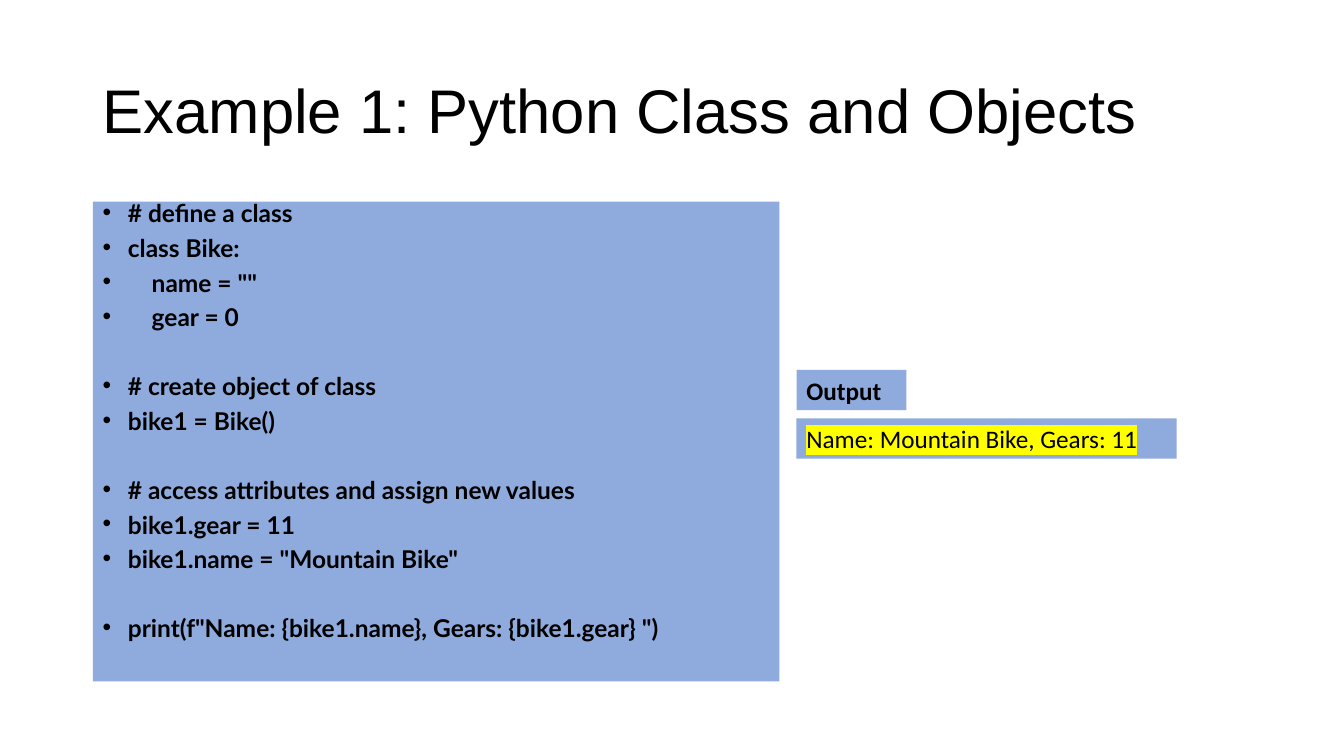
from pptx import Presentation
from pptx.dml.color import RGBColor
from pptx.enum.shapes import MSO_SHAPE
from pptx.enum.text import MSO_ANCHOR
from pptx.oxml.ns import qn
from pptx.util import Inches, Pt
from lxml.etree import SubElement

BLACK = RGBColor(0x00, 0x00, 0x00)
BLUE = RGBColor(0x8F, 0xAA, 0xDC)
YELLOW = RGBColor(0xFF, 0xFF, 0x00)

CODE_BLOCKS = [
    ["# define a class", "class Bike:", '    name = ""', "    gear = 0"],
    ["# create object of class", "bike1 = Bike()"],
    ["# access attributes and assign new values", "bike1.gear = 11",
     'bike1.name = "Mountain Bike"'],
    ['print(f"Name: {bike1.name}, Gears: {bike1.gear} ")'],
]
LINE_GAP = 10
BLOCK_GAP = 34.7


def add_panel(left, top, width, height, fill=BLUE):
    """Add a borderless rectangle and return its text frame."""
    panel = page.shapes.add_shape(MSO_SHAPE.RECTANGLE, Inches(left), Inches(top),
                                  Inches(width), Inches(height))
    panel.shadow.inherit = False
    panel.fill.solid()
    panel.fill.fore_color.rgb = fill
    panel.line.fill.background()
    frame = panel.text_frame
    frame.word_wrap = True
    frame.vertical_anchor = MSO_ANCHOR.TOP
    return frame


def add_span(para, text, **formats):
    span = para.add_run()
    span.text = text
    para.alignment = 1
    span.font.color.rgb = BLACK
    for name, value in formats.items():
        setattr(span.font, name, value)
    return span


deck = Presentation()
deck.slide_width, deck.slide_height = Inches(13.33), Inches(7.5)
page = deck.slides.add_slide(deck.slide_layouts[6])

title = page.shapes.add_textbox(Inches(0.92), Inches(0.4), Inches(11.5), Inches(1.45))
title.text_frame.word_wrap = True
title.text_frame.vertical_anchor = MSO_ANCHOR.MIDDLE
title_para = title.text_frame.paragraphs[0]
title_para.line_spacing = 0.9
add_span(title_para, "Example 1: Python Class and Objects", name="Arial", size=Pt(44))

code = add_panel(0.92, 2, 6.81, 4.76)
for block_number, block in enumerate(CODE_BLOCKS):
    for line_number, line in enumerate(block):
        is_first = block_number == line_number == 0
        para = code.paragraphs[0] if is_first else code.add_paragraph()
        properties = para._p.get_or_add_pPr()
        properties.set("marL", str(Inches(0.25)))
        properties.set("indent", str(Inches(-0.25)))
        SubElement(properties, qn("a:buFont")).set("typeface", "Arial")
        SubElement(properties, qn("a:buChar")).set("char", "•")
        para.line_spacing = 0.7
        if not is_first:
            para.space_before = Pt(LINE_GAP if line_number else BLOCK_GAP)
        add_span(para, line, name="Lato", size=Pt(17.5), bold=True)

result = add_panel(7.9, 4.15, 3.77, 0.4)
result_span = add_span(result.paragraphs[0], "Name: Mountain Bike, Gears: 11",
                       name="Calibri", size=Pt(18))
run_properties = result_span.font._element
highlight = SubElement(run_properties, qn("a:highlight"))
SubElement(highlight, qn("a:srgbClr")).set("val", str(YELLOW))
run_properties.find(qn("a:solidFill")).addnext(highlight)

label = add_panel(7.9, 3.67, 1.09, 0.4)
add_span(label.paragraphs[0], "Output", name="Calibri", size=Pt(18), bold=True)

deck.save("out.pptx")
